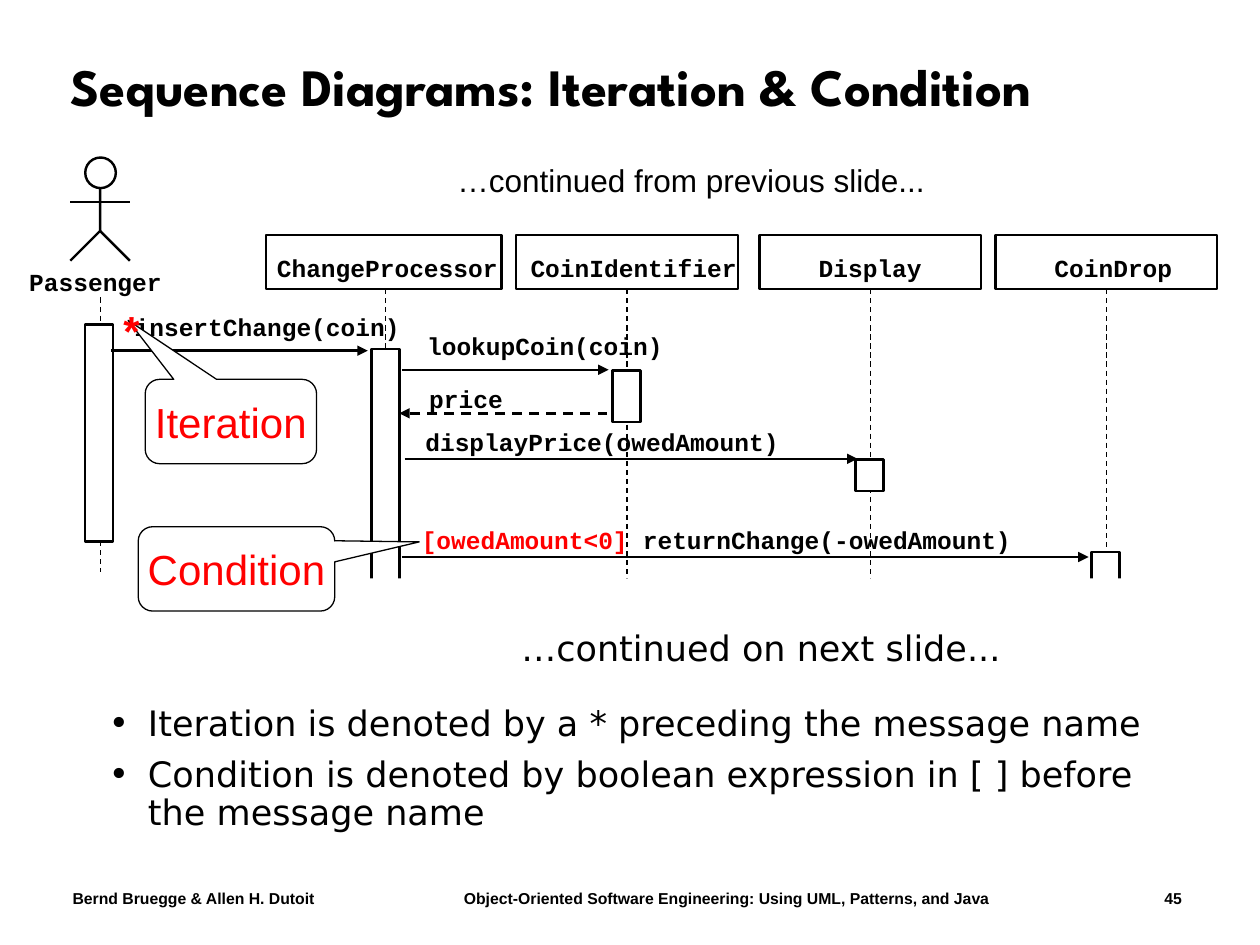
from dataclasses import dataclass

import pptx
import pptx.dml.color
import pptx.enum.dml
import pptx.enum.shapes
import pptx.enum.text
import pptx.util
from lxml import etree
from pptx.oxml.ns import qn

Pt = pptx.util.Pt
Align = pptx.enum.text.PP_ALIGN
Anchor = pptx.enum.text.MSO_ANCHOR
Shape = pptx.enum.shapes.MSO_SHAPE


@dataclass(frozen=True)
class Theme:
    ink: str = "000000"
    accent: str = "FF0000"
    paper: str = "FFFFFF"
    title_font: str = "League Spartan"
    body_font: str = "DejaVu Sans"
    plain_font: str = "Arial"
    code_font: str = "Courier New"
    title: float = 30
    callout: float = 24
    body: float = 20
    note: float = 18
    code: float = 14
    footer: float = 9
    thick: float = 1.39
    thin: float = 0.75


THEME = Theme()


def color(value):
    return pptx.dml.color.RGBColor.from_string(value)


def lengths(*values):
    return [Pt(value) for value in values]


def style(item, font, size, ink=THEME.ink, bold=False):
    item.font.name = font
    item.font.size = Pt(size)
    item.font.bold = bold
    item.font.color.rgb = color(ink)


def write(shape, text, font, size, ink=THEME.ink, bold=False, align=Align.LEFT,
          anchor=Anchor.TOP, wrap=True, inset=(7.2, 3.6)):
    frame = shape.text_frame
    frame.word_wrap = wrap
    frame.vertical_anchor = anchor
    frame.margin_left = frame.margin_right = Pt(inset[0])
    frame.margin_top = frame.margin_bottom = Pt(inset[1])
    frame.text = text
    for paragraph in frame.paragraphs:
        paragraph.alignment = align
        for run in paragraph.runs:
            style(run, font, size, ink, bold)
    return frame


def add_text(slide, box, text, font, size, **options):
    return write(slide.shapes.add_textbox(*lengths(*box)), text, font, size, **options)


def add_label(slide, left, top, text):
    """Unwrapped code label without margins."""
    box = (left, top, len(text) * 8.42 + 1, 16.5)
    return add_text(slide, box, text, THEME.code_font, THEME.code, bold=True,
                    wrap=False, inset=(0, 0))


def add_shape(slide, kind, box, width=THEME.thick, filled=True):
    shape = slide.shapes.add_shape(kind, *lengths(*box))
    shape.shadow.inherit = False
    if filled:
        shape.fill.solid()
        shape.fill.fore_color.rgb = color(THEME.paper)
    else:
        shape.fill.background()
    if width:
        shape.line.color.rgb = color(THEME.ink)
        shape.line.width = Pt(width)
    else:
        shape.line.fill.background()
    return shape


def add_line(slide, start, end, width=THEME.thick, dashed=False, arrow=False):
    line = slide.shapes.add_connector(
        pptx.enum.shapes.MSO_CONNECTOR.STRAIGHT, *lengths(*start, *end))
    line.line.color.rgb = color(THEME.ink)
    line.line.width = Pt(width)
    if dashed:
        line.line.dash_style = pptx.enum.dml.MSO_LINE.DASH
    if arrow:
        etree.SubElement(line.line._get_or_add_ln(), qn("a:tailEnd"), type="triangle")
    etree.SubElement(line._element.spPr, qn("a:effectLst"))


def add_actor(slide, box, name):
    left, top, width, _ = box
    middle, neck, hip, foot = left + 40.5, top + 12, top + 42, top + 59
    outline = slide.shapes.build_freeform(Pt(middle), Pt(neck), scale=1.0)
    outline.add_line_segments(
        [lengths(middle, hip), lengths(middle - 17, foot)], close=False)
    body = outline.convert_to_shape()
    body.shadow.inherit = False
    body.fill.background()
    body.line.color.rgb = color(THEME.ink)
    body.line.width = Pt(THEME.thick)
    add_line(slide, (middle, hip), (middle + 17, foot))
    add_line(slide, (middle - 17, top + 25.5), (middle + 17, top + 25.5))
    add_shape(slide, Shape.OVAL, (middle - 8.5, top, 17.5, 17.5))
    add_label(slide, left, top + 62.6, name)


def add_participant(slide, box, name, axis, inset, lifeline):
    left, top, _, height = box
    add_shape(slide, Shape.RECTANGLE, box, filled=False)
    add_label(slide, left + inset, top + 10, name)
    bottom = top + height
    add_line(slide, (axis, bottom), (axis, bottom + lifeline), THEME.thin, dashed=True)


def add_callout(slide, box, text, pointer):
    shape = add_shape(slide, Shape.ROUNDED_RECTANGULAR_CALLOUT, box, THEME.thin)
    for index, value in enumerate((*pointer, 0.17)):
        shape.adjustments[index] = value
    write(shape, text, THEME.plain_font, THEME.callout, ink=THEME.accent,
          align=Align.CENTER, anchor=Anchor.MIDDLE, wrap=False)


def add_diagram(slide, box):
    left, top, _, _ = box

    # Actor and participants with their lifelines
    add_line(slide, (left + 41.5, top + 80), (left + 41.5, top + 237), THEME.thin, dashed=True)
    add_actor(slide, (left + 0.7, top, 76, 79), "Passenger")
    for name, x, width, axis, inset in (
            ("ChangeProcessor", 136, 134.6, 204.3, 6.2),
            ("CoinIdentifier", 279, 126.7, 342.3, 8.2),
            ("Display", 418, 126.7, 481.3, 33.8),
            ("CoinDrop", 552.8, 126.7, 616.1, 33.8)):
        add_participant(slide, (left + x, top + 44.3, width, 31), name,
                        left + axis, inset, 196.5)

    # Activation bars
    for axis, y, height in ((40.5, 95.5, 124), (204.3, 109.4, 150.5),
                            (342, 121.7, 29.5), (480.9, 172.6, 18), (615.8, 225.4, 18)):
        add_shape(slide, Shape.RECTANGLE, (left + axis - 8, top + y, 16, height))

    # Messages: label place, then arrow start, end and height
    for text, x, y, start, end, level in (
            ("insertChange(coin)", 61, 88.2, 47.4, 194.2, 110.4),
            ("lookupCoin(coin)", 228.1, 99.4, 213.7, 331.8, 121.3),
            ("price", 229.3, 129.6, 331, 212.2, 146.2),
            ("displayPrice(owedAmount)", 227.1, 154.1, 215.3, 474, 172.2),
            ("[owedAmount<0] returnChange(-owedAmount)", 225, 210.2, 213.5, 606.1, 228.3)):
        add_line(slide, (left + start, top + level), (left + end, top + level),
                 dashed=end < start, arrow=True)
        frame = add_label(slide, left + x, top + y, text)
        if text.startswith("["):
            condition, message = text.split(" ")
            paragraph = frame.paragraphs[0]
            paragraph.runs[0].text = condition
            paragraph.runs[0].font.color.rgb = color(THEME.accent)
            run = paragraph.add_run()
            run.text = " " + message
            style(run, THEME.code_font, THEME.code, bold=True)

    # Callouts and continuation notes
    add_callout(slide, (left + 67, top + 126.8, 97.9, 48.2), "Iteration", (-0.6, -1.2))
    add_callout(slide, (left + 63, top + 211, 112.3, 48.2), "Condition", (0.93, -0.32))
    for text, x, y, height, font, size in (
            ("…continued on next slide...", 195, 240.5, 54.9, THEME.body_font, THEME.body),
            ("…continued from previous slide...", 155, -1.4, 28.8,
             THEME.plain_font, THEME.note)):
        note = add_shape(slide, Shape.RECTANGLE, (left + x, top + y, 447.8, height), width=0)
        write(note, text, font, size, align=Align.CENTER, anchor=Anchor.BOTTOM)
    add_text(slide, (left + 47.2, top + 80.6, 23.8, 36), "*", THEME.plain_font,
             THEME.callout, ink=THEME.accent, bold=True, align=Align.CENTER,
             anchor=Anchor.MIDDLE, wrap=False)


def add_title(slide, box, text):
    frame = add_text(slide, box, text, THEME.title_font, THEME.title, bold=True,
                     anchor=Anchor.MIDDLE)
    frame.paragraphs[0].line_spacing = 0.9


def add_bullets(slide, box, items):
    frame = add_text(slide, box, "\n".join(items), THEME.body_font, THEME.body)
    for index, paragraph in enumerate(frame.paragraphs):
        properties = paragraph._p.get_or_add_pPr()
        properties.set("marL", str(Pt(22.5)))
        properties.set("indent", str(Pt(-22.5)))
        bullet_color = etree.SubElement(properties, qn("a:buClr"))
        etree.SubElement(bullet_color, qn("a:srgbClr"), val=THEME.ink)
        etree.SubElement(properties, qn("a:buFont"), typeface=THEME.body_font)
        etree.SubElement(properties, qn("a:buChar"), char="•")
        paragraph.line_spacing = 0.9
        if index:
            paragraph.space_before = Pt(7.5)


def add_footer(slide, box):
    left, top, width, height = box
    for text, x, part, align in (
            ("Bernd Bruegge & Allen H. Dutoit", 0, 180, Align.LEFT),
            ("Object-Oriented Software Engineering: Using UML, Patterns, and Java",
             206.7, 348, Align.CENTER),
            ("45", width - 60, 60, Align.RIGHT)):
        add_text(slide, (left + x, top, part, height), text, THEME.plain_font,
                 THEME.footer, bold=True, align=align)


def main():
    presentation = pptx.Presentation()
    presentation.slide_width, presentation.slide_height = lengths(720, 540)
    slide = presentation.slides.add_slide(presentation.slide_layouts[6])
    add_footer(slide, (34.4, 504.3, 648, 18))
    add_title(slide, (33, 17.5, 642.2, 67.7), "Sequence Diagrams: Iteration & Condition")
    add_bullets(slide, (55, 400.3, 612, 102), (
        "Iteration is denoted by a * preceding the message name",
        "Condition is denoted by boolean expression in [ ] before the message name"))
    add_diagram(slide, (16, 90, 680, 296))
    presentation.save("out.pptx")


if __name__ == "__main__":
    main()
